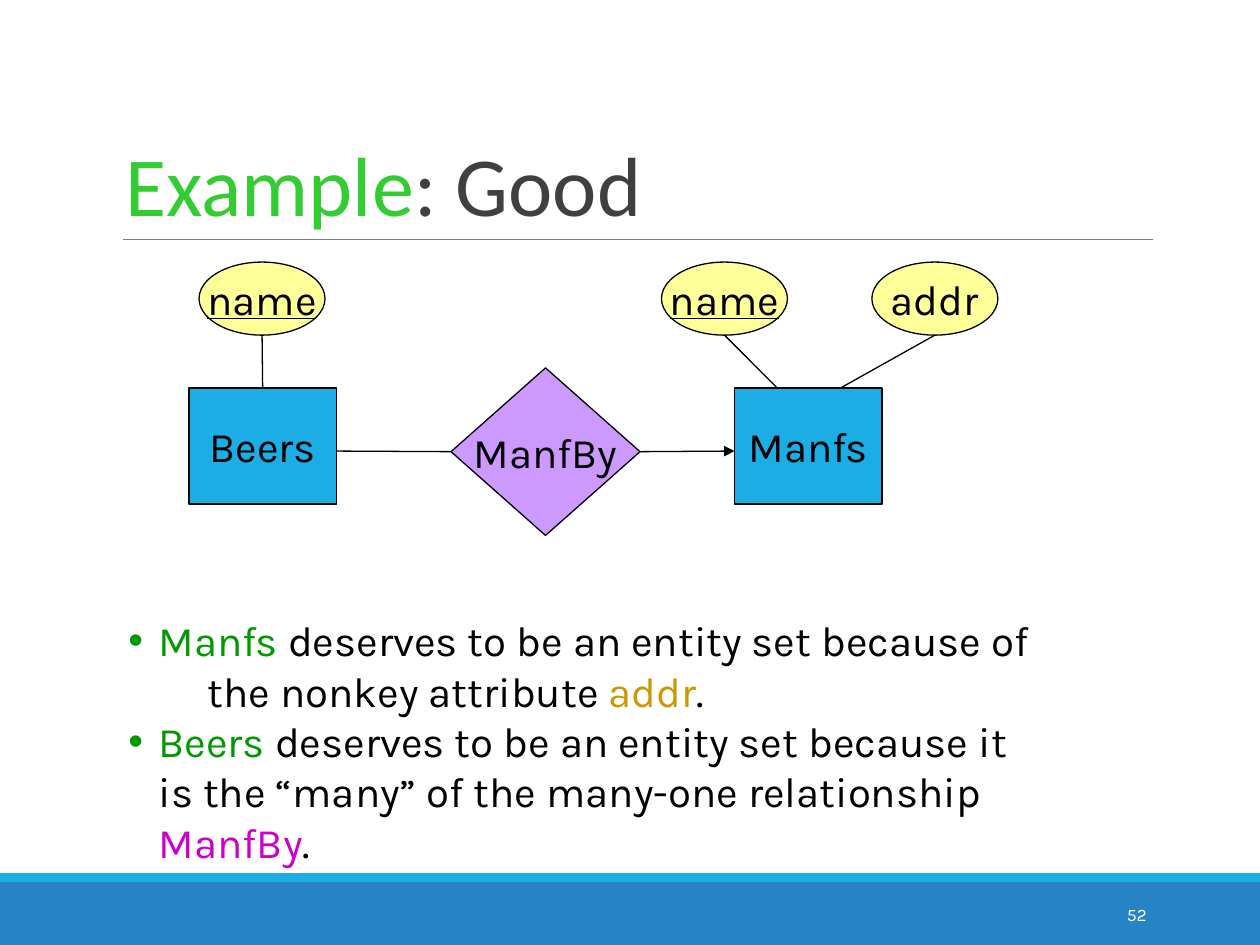
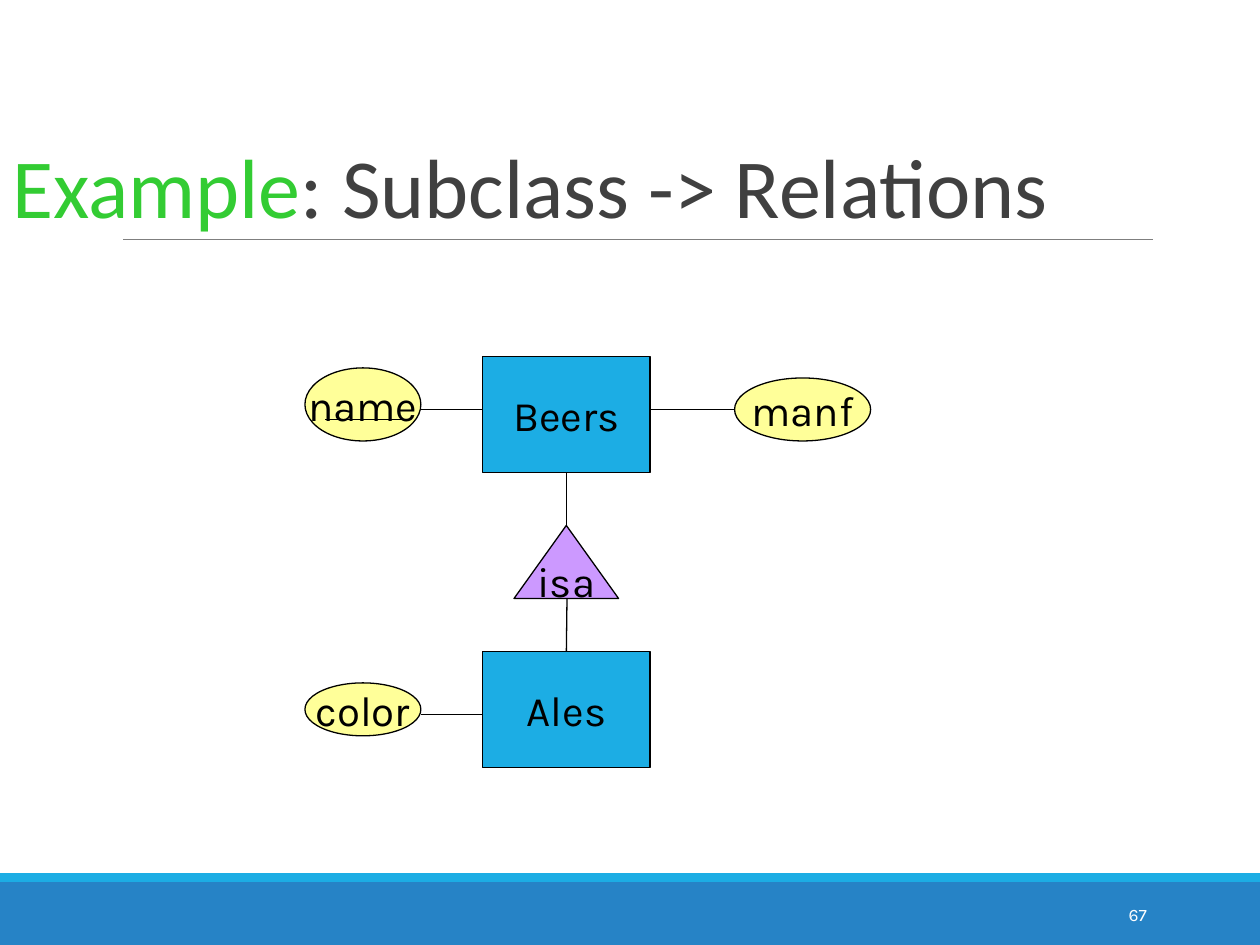
from lxml import etree
from pptx import Presentation
from pptx.dml.color import RGBColor as Rgb
from pptx.enum.shapes import MSO_CONNECTOR as Conn, MSO_SHAPE as Geo
from pptx.enum.text import MSO_ANCHOR as Anchor, PP_ALIGN as Align
from pptx.oxml.ns import qn
from pptx.util import Inches, Pt

HUES = {
    "band": "2683C6", "strip": "1CADE4", "rule": "7F7F7F",
    "title": "404040", "lead": "33CC33", "ink": "000000", "white": "FFFFFF",
    "entity": "1CADE4", "attr": "FFFF99", "link": "CC99FF",
    "green": "009900", "gold": "CC9900", "plum": "CC00CC",
}
HEAD, BODY = "Calibri", "Karla"
TOP, LEFT, BOTTOM, RIGHT = range(4)


def hue(name):
    return Rgb.from_string(HUES[name])


def write(frame, *paras, size=24, font=BODY, color="ink", align=Align.LEFT,
          anchor=Anchor.TOP, wrap=True, under=False, lines=None, bullet=None,
          indent=0.24, stop=0.63):
    """Fill a text frame; each paragraph is a list of (text, colour) or text.

    A piece "\\n" breaks the line and goes to the tab stop."""
    frame.word_wrap, frame.vertical_anchor = wrap, anchor
    for i, pieces in enumerate(paras):
        para = frame.add_paragraph() if i else frame.paragraphs[0]
        para.alignment = align
        if lines:
            para.line_spacing = lines
        if bullet:
            props = para._p.get_or_add_pPr()
            props.set("marL", str(Inches(indent)))
            props.set("indent", str(-Inches(indent)))
            tint = etree.SubElement(props, qn("a:buClr"))
            etree.SubElement(tint, qn("a:srgbClr"), val=HUES[bullet])
            etree.SubElement(props, qn("a:buFont"), typeface="Arial")
            etree.SubElement(props, qn("a:buChar"), char="•")
            tabs = etree.SubElement(props, qn("a:tabLst"))
            etree.SubElement(tabs, qn("a:tab"), pos=str(Inches(stop)), algn="l")
        for piece in pieces:
            text, tone = piece if isinstance(piece, tuple) else (piece, color)
            if text == "\n":
                para.add_line_break()
                text = "\t"
            run = para.add_run()
            run.text = text
            run.font.name, run.font.size = font, Pt(size)
            run.font.color.rgb = hue(tone)
            run.font.underline = under or None


def label(slide, box, *paras, **style):
    area = slide.shapes.add_textbox(*map(Inches, box))
    write(area.text_frame, *paras, **style)


def block(slide, geo, box, fill, line=None):
    shape = slide.shapes.add_shape(geo, *map(Inches, box))
    shape.shadow.inherit = False
    shape.fill.solid()
    shape.fill.fore_color.rgb = hue(fill)
    if line:
        shape.line.color.rgb = hue(line)
        shape.line.width = Pt(0.75)
    else:
        shape.line.fill.background()
    return shape


def stroke(slide, start, end, color="ink", width=0.75, arrow=False,
           tie=None, join=None):
    """Draw a line; tie and join are (shape, site) for its two ends."""
    line = slide.shapes.add_connector(
        Conn.STRAIGHT, *map(Inches, (*start, *end)))
    if tie:
        line.begin_connect(*tie)
    if join:
        line.end_connect(*join)
    line.line.color.rgb = hue(color)
    line.line.width = Pt(width)
    props = line._element.spPr
    if arrow:
        etree.SubElement(props.find(qn("a:ln")), qn("a:tailEnd"), type="triangle")
    etree.SubElement(props, qn("a:effectLst"))


def base(deck, box, title, number):
    """Add a slide with its bands, rule, title and page number."""
    slide = deck.slides.add_slide(deck.slide_layouts[6])
    block(slide, Geo.RECTANGLE, (0, 7, 10, 0.5), "band")
    block(slide, Geo.RECTANGLE, (0, 6.93, 10, 0.07), "strip")
    stroke(slide, (0.98, 1.9), (9.15, 1.9), "rule", 0.5)
    label(slide, box, [("Example", "lead"), ": " + title], size=48, font=HEAD,
          color="title", anchor=Anchor.BOTTOM, lines=0.85)
    label(slide, (8.12, 7.06, 1.08, 0.4), [number], size=10, color="white",
          align=Align.RIGHT, anchor=Anchor.MIDDLE)
    return slide


def tools(slide, x, y):
    """Return node and line makers that measure from the corner (x, y)."""
    def node(text, geo, fill, left, top, wide, high, under=False):
        shape = block(slide, geo, (x + left, y + top, wide, high), fill, "ink")
        write(shape.text_frame, [text], align=Align.CENTER,
              anchor=Anchor.MIDDLE, wrap=False, under=under)
        return shape

    def wire(start, end, **ends):
        stroke(slide, (x + start[0], y + start[1]),
               (x + end[0], y + end[1]), **ends)
    return node, wire


def makers(slide, x, y):
    node, wire = tools(slide, x, y)
    mid = 1.5
    beers = node("Beers", Geo.RECTANGLE, "entity", 0, 1, 1.17, 0.92)
    node("Manfs", Geo.RECTANGLE, "entity", 4.33, 1, 1.17, 0.92)
    manf = node("ManfBy", Geo.DIAMOND, "link", 2.08, 0.84, 1.5, 1.33)
    for text, left in (("name", 0.08), ("name", 3.75), ("addr", 5.42)):
        node(text, Geo.OVAL, "attr", left, 0, 1, 0.58, under=text == "name")
    wire((0.58, 0.58), (0.58, 1), join=(beers, TOP))
    wire((4.25, 0.58), (4.67, 1))
    wire((5.92, 0.58), (5.17, 1))
    wire((2.08, mid), (1.17, mid), tie=(manf, LEFT))
    wire((3.58, mid), (4.33, mid), tie=(manf, RIGHT), arrow=True)


def classes(slide, x, y):
    node, wire = tools(slide, x, y)
    beers, ales = (node(text, Geo.RECTANGLE, "entity", 1.41, top, 1.33, 0.92)
                   for text, top in (("Beers", 0), ("Ales", 2.34)))
    isa = node("isa", Geo.ISOSCELES_TRIANGLE, "link", 1.66, 1.34, 0.83, 0.58)
    for text, left, top, wide, high in (("name", 0, 0.09, 0.92, 0.58),
                                        ("manf", 3.41, 0.17, 1.08, 0.5),
                                        ("color", 0, 2.59, 0.92, 0.42)):
        node(text, Geo.OVAL, "attr", left, top, wide, high)
    for left, right, level in ((0.16, 0.83, 0.5), (0.92, 1.41, 0.42),
                               (2.74, 3.41, 0.42), (0.92, 1.41, 2.84)):
        wire((left, level), (right, level))
    wire((2.08, 1.34), (2.08, 0.92), tie=(isa, TOP), join=(beers, BOTTOM))
    wire((2.08, 1.92), (2.08, 2.34), join=(ales, TOP))


def reasons(slide, box):
    label(slide, box,
          [("Manfs", "green"), " deserves to be an entity set because of",
           "\n", "the nonkey attribute ", ("addr", "gold"), "."],
          [("Beers", "green"), " deserves to be an entity set because it is "
           "the “many” of the many-one relationship ", ("ManfBy", "plum"), "."],
          bullet="green")


def main():
    deck = Presentation()
    deck.slide_width, deck.slide_height = Inches(10), Inches(7.5)
    good = base(deck, (0.9, 0.31, 8.25, 1.59), "Good", "52")
    makers(good, 1.5, 2.08)
    reasons(good, (0.92, 4.83, 7.52, 2.1))
    sub = base(deck, (0, 0.67, 10, 1.25), "Subclass -> Relations", "67")
    classes(sub, 2.42, 2.83)
    deck.save("out.pptx")


if __name__ == "__main__":
    main()
